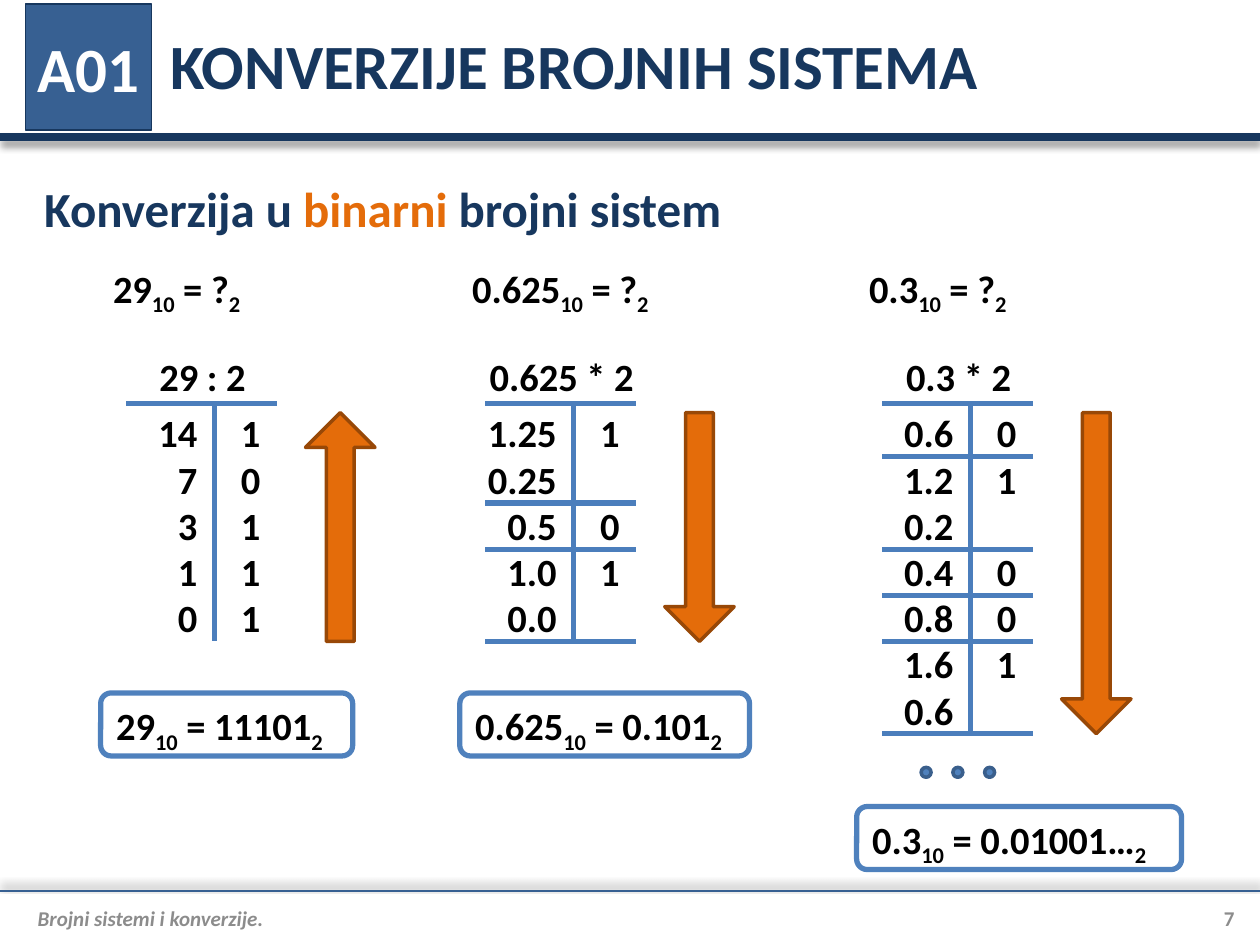
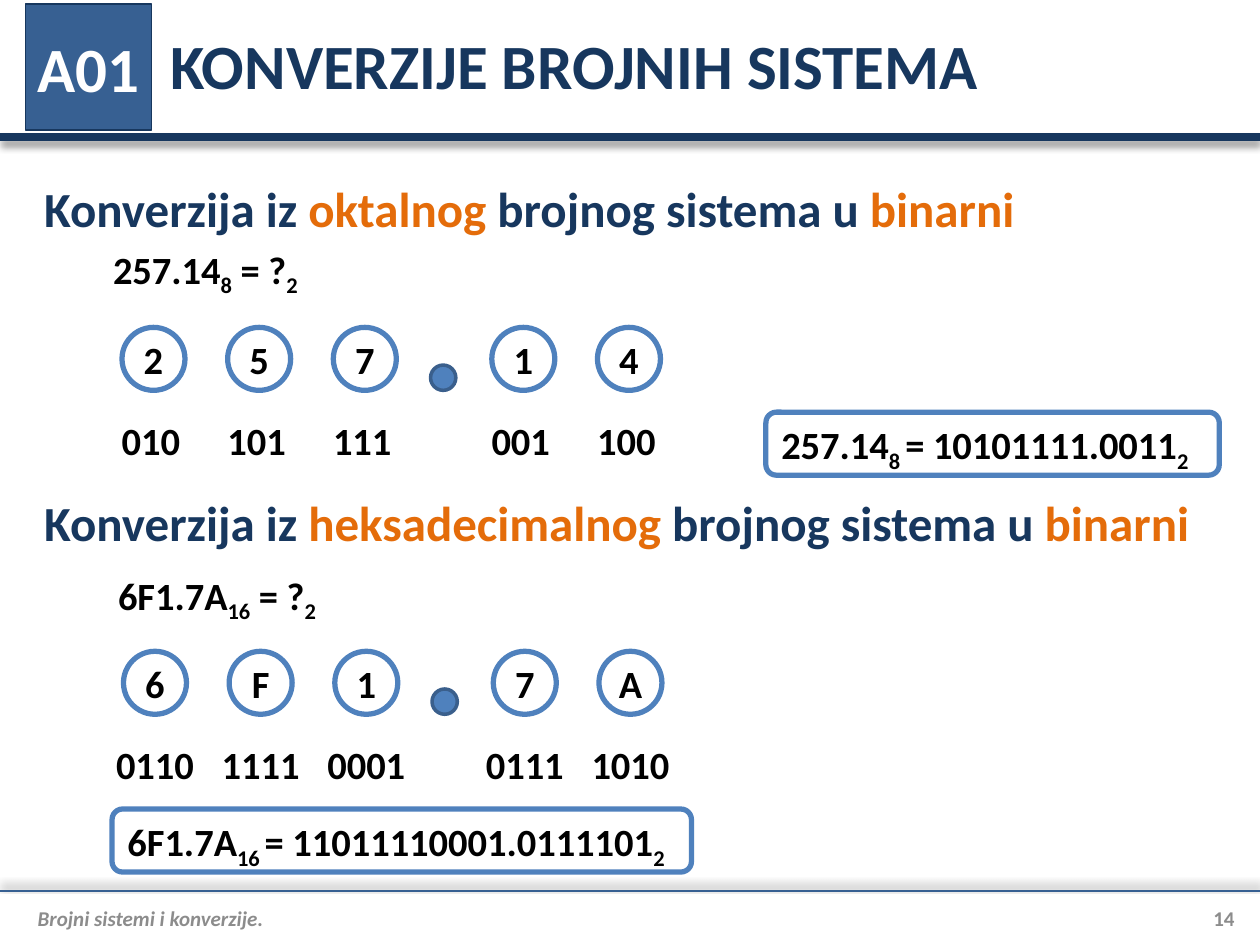
from dataclasses import dataclass
from typing import Optional

import lxml.etree
import pptx
import pptx.dml.color
import pptx.enum.shapes
import pptx.enum.text
import pptx.oxml.ns
import pptx.presentation
import pptx.shapes.autoshape
import pptx.slide
import pptx.text.text
import pptx.util

Cm = pptx.util.Cm
Pt = pptx.util.Pt
RGBColor = pptx.dml.color.RGBColor
Shape = pptx.enum.shapes.MSO_SHAPE
Align = pptx.enum.text.PP_ALIGN
Anchor = pptx.enum.text.MSO_ANCHOR
qn = pptx.oxml.ns.qn

NAVY = RGBColor(0x17, 0x37, 0x5E)
STEEL = RGBColor(0x37, 0x60, 0x92)
BLUE = RGBColor(0x4F, 0x81, 0xBD)
BLUE_EDGE = RGBColor(0x3A, 0x5F, 0x8C)
RULE_BLUE = RGBColor(0x4B, 0x7E, 0xBC)
ORANGE = RGBColor(0xE4, 0x6C, 0x0A)
BROWN = RGBColor(0x98, 0x48, 0x07)
GRAY = RGBColor(0x8C, 0x8C, 0x8C)
BLACK = RGBColor(0, 0, 0)
WHITE = RGBColor(0xFF, 0xFF, 0xFF)

FONT = "Calibri"
SLIDE_WIDTH, SLIDE_HEIGHT = 25.4, 19.05
LINE_HEIGHT = 1.27
TABLE_TOP = 8.13
ROW_HEIGHT = 0.93
FIRST_ROW_TOP = 8.28
ARROW_TOP, ARROW_THICKNESS = 8.32, 1.4
CIRCLE, POINT = 1.27, 0.51
DIGIT_PITCH = 2.13
DIGIT_SLOTS = (0, 1, 2, 3.5, 4.5)


@dataclass
class Box:
    left: float
    top: float
    width: float
    height: float = LINE_HEIGHT

    def lengths(self) -> tuple[int, int, int, int]:
        return Cm(self.left), Cm(self.top), Cm(self.width), Cm(self.height)


@dataclass
class Run:
    text: str
    size: float = 22
    color: RGBColor = BLACK
    italic: bool = False
    subscript: bool = False


@dataclass
class Formula:
    number: str
    base: str
    value: str

    def runs(self) -> list[Run]:
        return [Run(self.number), Run(self.base, subscript=True),
                Run(self.value), Run("2", subscript=True)]


@dataclass
class Division:
    left: float
    question: Formula
    operation: str
    rows: list[str]
    rules_after: list[int]
    arrow_rotation: int
    answer: Formula
    answer_top: float
    answer_width: float


@dataclass
class DigitConversion:
    source_base: str
    heading_top: float
    heading_width: float
    question: Formula
    question_box: Box
    digits: str
    digits_left: float
    digits_top: float
    codes: list[str]
    code_width: float
    code_align: Align
    answer: Formula
    answer_box: Box


DIVISIONS = [
    Division(2.03, Formula("29", "10", " = ?"), "29 : 2",
             ["\t14\t1", "\t7\t0", "\t3\t1", "\t1\t1", "\t0\t1"], [], 270,
             Formula("29", "10", " = 11101"), 13.97, 5.08),
    Division(9.27, Formula("0.625", "10", " = ?"), "0.625 * 2",
             ["\t1.25\t1", "\t0.25", "\t0.5\t0", "\t1.0\t1", "\t0.0"], [2, 3, 5], 90,
             Formula("0.625", "10", " = 0.101"), 13.97, 5.84),
    Division(17.27, Formula("0.3", "10", " = ?"), "0.3 * 2",
             ["\t0.6\t0", "\t1.2\t1", "\t0.2", "\t0.4\t0", "\t0.8\t0", "\t1.6\t1", "\t0.6"],
             [1, 3, 4, 5, 7], 90,
             Formula("0.3", "10", " = 0.01001…"), 16.26, 6.55),
]

DIGIT_CONVERSIONS = [
    DigitConversion("oktalnog ", 3.56, 21.39,
                    Formula("257.14", "8", " = ?"), Box(2.03, 4.83, 4.45),
                    "25714", 2.46, 6.6, ["010", "101", "111", "001", "100"], 1.78, Align.LEFT,
                    Formula("257.14", "8 ", "= 10101111.0011"), Box(15.44, 8.31, 9.14)),
    DigitConversion("heksadecimalnog ", 9.88, 23.7,
                    Formula("6F1.7A", "16", " = ?"), Box(2.13, 11.4, 6.65),
                    "6F17A", 2.49, 13.13, ["0110", "1111", "0001", "0111", "1010"], 2.21,
                    Align.CENTER,
                    Formula("6F1.7A", "16 ", "= 11011110001.0111101"), Box(2.26, 16.31, 11.68)),
]


def add_runs(paragraph: pptx.text.text._Paragraph, runs: list[Run]) -> None:
    for item in runs:
        run = paragraph.add_run()
        run.text = item.text
        run.font.name = FONT
        run.font.size = Pt(item.size)
        run.font.bold = True
        run.font.italic = item.italic
        run.font.color.rgb = item.color
        if item.subscript:
            run._r.get_or_add_rPr().set("baseline", "-25000")


def fill_frame(frame: pptx.text.text.TextFrame, runs: list[Run], align: Align = Align.LEFT,
               anchor: Anchor = Anchor.TOP,
               insets: Optional[tuple[float, float, float, float]] = None) -> None:
    frame.word_wrap = True
    frame.auto_size = pptx.enum.text.MSO_AUTO_SIZE.NONE
    frame.vertical_anchor = anchor
    if insets is not None:
        (frame.margin_left, frame.margin_top,
         frame.margin_right, frame.margin_bottom) = map(Cm, insets)
    paragraph = frame.paragraphs[0]
    paragraph.alignment = align
    add_runs(paragraph, runs)


def add_text(slide: pptx.slide.Slide, box: Box, runs: list[Run], align: Align = Align.LEFT,
             anchor: Anchor = Anchor.TOP,
             insets: Optional[tuple[float, float, float, float]] = None) -> None:
    fill_frame(slide.shapes.add_textbox(*box.lengths()).text_frame, runs, align, anchor, insets)


def add_shape(slide: pptx.slide.Slide, kind: Shape, box: Box, fill: Optional[RGBColor],
              line: RGBColor, line_width: float) -> pptx.shapes.autoshape.Shape:
    shape = slide.shapes.add_shape(kind, *box.lengths())
    shape.shadow.inherit = False
    if fill is None:
        shape.fill.background()
    else:
        shape.fill.solid()
        shape.fill.fore_color.rgb = fill
    shape.line.color.rgb = line
    shape.line.width = Pt(line_width)
    return shape


def add_line(slide: pptx.slide.Slide, start: tuple[float, float], end: tuple[float, float],
             color: RGBColor = RULE_BLUE, width: float = 3,
             shadow_angle: Optional[int] = None) -> None:
    connector = slide.shapes.add_connector(
        pptx.enum.shapes.MSO_CONNECTOR.STRAIGHT, *map(Cm, start + end))
    connector.line.color.rgb = color
    connector.line.width = Pt(width)
    effects = lxml.etree.SubElement(connector._element.spPr, qn("a:effectLst"))
    if shadow_angle is not None:
        shadow = lxml.etree.SubElement(
            effects, qn("a:outerShdw"), blurRad=str(Pt(4)), dist=str(Pt(3)),
            dir=str(shadow_angle * 60000), algn="t", rotWithShape="0")
        color_element = lxml.etree.SubElement(shadow, qn("a:srgbClr"), val=str(BLACK))
        lxml.etree.SubElement(color_element, qn("a:alpha"), val="40000")


def add_heading(slide: pptx.slide.Slide, top: float, width: float, parts: list[str]) -> None:
    runs = [Run(part, 28, ORANGE if index % 2 else NAVY) for index, part in enumerate(parts)]
    add_text(slide, Box(0.64, top, width), runs, anchor=Anchor.MIDDLE)


def add_answer(slide: pptx.slide.Slide, box: Box, answer: Formula) -> None:
    shape = add_shape(slide, Shape.FLOWCHART_ALTERNATE_PROCESS, box, None, BLUE, 3)
    fill_frame(shape.text_frame, answer.runs())


def add_framed_slide(presentation: pptx.presentation.Presentation,
                     number: int) -> pptx.slide.Slide:
    slide = presentation.slides.add_slide(presentation.slide_layouts[5])
    add_line(slide, (0, 2.77), (SLIDE_WIDTH, 2.77), NAVY, 4.5, 90)
    add_line(slide, (0, 17.96), (SLIDE_WIDTH, 17.96), STEEL, 1.5, 270)
    title = slide.shapes.title
    title.left, title.top, title.width, title.height = Box(3.18, 0.03, 21.72, 2.54).lengths()
    fill_frame(title.text_frame, [Run("KONVERZIJE BROJNIH SISTEMA", 36, NAVY)],
               anchor=Anchor.MIDDLE)
    add_text(slide, Box(0.51, 18.06, 23.62, 0.89),
             [Run("Brojni sistemi i konverzije.", 12, GRAY, italic=True)],
             anchor=Anchor.MIDDLE, insets=(0.25, 0, 0, 0))
    add_text(slide, Box(23.62, 18.06, 1.27, 0.89), [Run(str(number), 12, GRAY)],
             Align.RIGHT, Anchor.MIDDLE, (0, 0, 0, 0))
    badge = add_shape(slide, Shape.RECTANGLE, Box(0.51, 0.08, 2.54, 2.54), STEEL, NAVY, 0.75)
    fill_frame(badge.text_frame, [Run("A01", 36, WHITE)], Align.CENTER, Anchor.MIDDLE,
               (0, 0, 0, 0))
    badge.text_frame.paragraphs[0].space_before = Pt(7.2)
    return slide


def add_rows(slide: pptx.slide.Slide, box: Box, rows: list[str]) -> None:
    frame = slide.shapes.add_textbox(*box.lengths()).text_frame
    frame.word_wrap = True
    frame.margin_left = frame.margin_right = 0
    for index, row in enumerate(rows):
        paragraph = frame.add_paragraph() if index else frame.paragraphs[0]
        tabs = lxml.etree.SubElement(paragraph._p.get_or_add_pPr(), qn("a:tabLst"))
        for position in (1.57, 2.84):
            lxml.etree.SubElement(tabs, qn("a:tab"), pos=str(Cm(position)), algn="r")
        add_runs(paragraph, [Run(row)])


def add_division(slide: pptx.slide.Slide, division: Division) -> None:
    left = division.left
    row_count = len(division.rows)
    bottom = FIRST_ROW_TOP + row_count * ROW_HEIGHT
    add_text(slide, Box(left, 5.21, 4.65), division.question.runs())
    add_text(slide, Box(left + 0.25, 6.99, 3.61), [Run(division.operation)], Align.CENTER)
    add_rows(slide, Box(left + 0.38, TABLE_TOP, 3.61, row_count * ROW_HEIGHT + 0.25),
             division.rows)
    rule_tops = [TABLE_TOP] + [FIRST_ROW_TOP + row * ROW_HEIGHT for row in division.rules_after]
    for top in rule_tops:
        add_line(slide, (left + 0.51, top), (left + 3.56, top))
    add_line(slide, (left + 2.29, TABLE_TOP), (left + 2.29, bottom))
    length = bottom - ARROW_TOP
    arrow_box = Box(left + 4.83 - length / 2, (ARROW_TOP + bottom - ARROW_THICKNESS) / 2,
                    length, ARROW_THICKNESS)
    arrow = add_shape(slide, Shape.RIGHT_ARROW, arrow_box, ORANGE, BROWN, 2)
    arrow.adjustments[0] = 0.4
    arrow.rotation = division.arrow_rotation
    add_answer(slide, Box(left, division.answer_top, division.answer_width), division.answer)


def add_digit_conversion(slide: pptx.slide.Slide, conversion: DigitConversion) -> None:
    add_heading(slide, conversion.heading_top, conversion.heading_width,
                ["Konverzija iz ", conversion.source_base, "brojnog sistema u ", "binarni"])
    add_text(slide, conversion.question_box, conversion.question.runs())
    left, top = conversion.digits_left, conversion.digits_top
    for slot, digit, code in zip(DIGIT_SLOTS, conversion.digits, conversion.codes):
        digit_left = left + slot * DIGIT_PITCH
        circle = add_shape(slide, Shape.OVAL, Box(digit_left, top, CIRCLE), None, BLUE, 3)
        fill_frame(circle.text_frame, [Run(digit)], Align.CENTER, Anchor.MIDDLE, (0, 0, 0, 0))
        code_left = digit_left + (CIRCLE - conversion.code_width) / 2
        add_text(slide, Box(code_left, top + 1.69, conversion.code_width), [Run(code)],
                 conversion.code_align)
    add_shape(slide, Shape.OVAL, Box(left + 6.22, top + 0.76, POINT, POINT), BLUE, BLUE_EDGE, 2)
    add_answer(slide, conversion.answer_box, conversion.answer)


def main() -> None:
    presentation = pptx.Presentation()
    presentation.slide_width, presentation.slide_height = Cm(SLIDE_WIDTH), Cm(SLIDE_HEIGHT)

    decimal_slide = add_framed_slide(presentation, 7)
    for division in DIVISIONS:
        add_division(decimal_slide, division)
    for index in range(3):
        add_shape(decimal_slide, Shape.OVAL, Box(18.57 + index * 0.64, 15.47, 0.2, 0.2),
                  BLUE, BLUE_EDGE, 2)
    add_heading(decimal_slide, 3.56, 17.78, ["Konverzija u ", "binarni ", "brojni sistem"])

    digit_slide = add_framed_slide(presentation, 14)
    for conversion in DIGIT_CONVERSIONS:
        add_digit_conversion(digit_slide, conversion)

    presentation.save("out.pptx")


if __name__ == "__main__":
    main()
